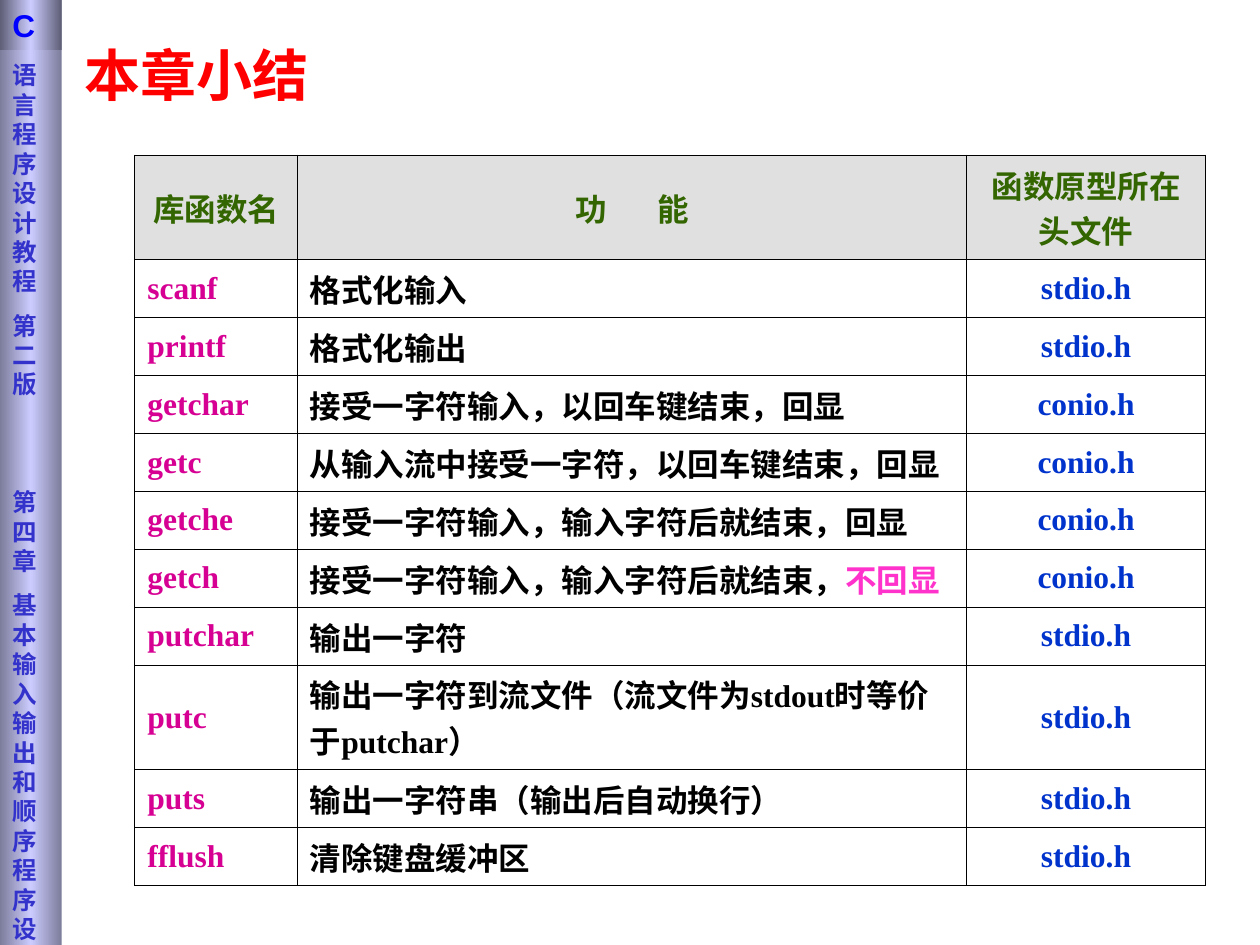
from copy import deepcopy

from lxml import etree
from pptx import Presentation
from pptx.dml.color import RGBColor
from pptx.enum import shapes, text
from pptx.oxml.ns import qn
from pptx.util import Inches, Pt

CJK_FONT = "Noto Sans CJK SC"
LEFT, CENTER = text.PP_ALIGN.LEFT, text.PP_ALIGN.CENTER
TOP, MIDDLE = text.MSO_ANCHOR.TOP, text.MSO_ANCHOR.MIDDLE

HEADINGS = ["库函数名", "功 能", "函数原型所在头文件"]
FUNCTIONS = [
    ("scanf", "格式化输入", "stdio.h"),
    ("printf", "格式化输出", "stdio.h"),
    ("getchar", "接受一字符输入，以回车键结束，回显", "conio.h"),
    ("getc", "从输入流中接受一字符，以回车键结束，回显", "conio.h"),
    ("getche", "接受一字符输入，输入字符后就结束，回显", "conio.h"),
    ("getch", "接受一字符输入，输入字符后就结束，", "conio.h"),
    ("putchar", "输出一字符", "stdio.h"),
    ("putc", "输出一字符到流文件（流文件为stdout时等价于putchar）", "stdio.h"),
    ("puts", "输出一字符串（输出后自动换行）", "stdio.h"),
    ("fflush", "清除键盘缓冲区", "stdio.h"),
]
# Text and the space before it in points
SIDEBAR_LINES = [
    ("语言程序设计教程", 0),
    ("第二版", 8.5),
    ("第四章", 50.5),
    ("基本输入输出和顺序程序设计", 8.5),
]


def rgb(hex_color):
    return RGBColor.from_string(hex_color)


def add_text(paragraph, words, *, size=18, color="000000", font="Times New Roman",
             east_asian=CJK_FONT, align=LEFT, tracking=0):
    """Append a bold run; tracking is extra letter spacing in points."""
    paragraph.alignment = align
    run = paragraph.add_run()
    run.text = words
    run.font.size = Pt(size)
    run.font.bold = True
    run.font.color.rgb = rgb(color)
    run.font.name = font
    properties = run.font._element
    etree.SubElement(properties, qn("a:ea"), typeface=east_asian)
    if tracking:
        properties.set("spc", str(round(tracking * 100)))


def add_title(slide, words):
    title = slide.shapes.add_textbox(Inches(0.57), Inches(0.27), Inches(8.5), Inches(0.71))
    title.text_frame.word_wrap = True
    add_text(title.text_frame.paragraphs[0], words, size=32, color="FF0000", font=CJK_FONT)


def add_gradient_bar(slide, height, edge, middle, inset_top=0.05):
    """Add a bar at the left edge, lightest along its middle; return its text frame."""
    bar = slide.shapes.add_shape(shapes.MSO_SHAPE.RECTANGLE, 0, 0, Inches(0.49), Inches(height))
    bar.shadow.inherit = False
    bar.line.fill.background()
    bar.fill.gradient()
    bar.fill.gradient_angle = 0
    first_stop = bar.fill._fill._gradFill.find(qn("a:gsLst"))[0]
    first_stop.addnext(deepcopy(first_stop))
    for stop, position, color in zip(bar.fill.gradient_stops, (0, 0.5, 1), (edge, middle, edge)):
        stop.position = position
        stop.color.rgb = rgb(color)
    frame = bar.text_frame
    frame.word_wrap = True
    frame.vertical_anchor = TOP
    frame.margin_top = Inches(inset_top)
    return frame


def add_sidebar(slide):
    frame = add_gradient_bar(slide, 7.5, "7C7C9B", "CCCCFF", inset_top=0.48)
    for index, (words, space_before) in enumerate(SIDEBAR_LINES):
        paragraph = frame.add_paragraph() if index else frame.paragraphs[0]
        if space_before:
            paragraph.space_before = Pt(space_before)
        paragraph.line_spacing = Pt(16.8)
        add_text(paragraph, words, size=14, color="3333CC", font="DejaVu Sans",
                 east_asian="DejaVu Sans")

    badge = add_gradient_bar(slide, 0.4, "5E5E76", "CCCCFF")
    add_text(badge.paragraphs[0], "C", color="0000FF", font="Arial")


def style_cell(cell, anchor=MIDDLE, fill=None):
    cell.vertical_anchor = anchor
    properties = cell._tc.get_or_add_tcPr()
    for side in ("a:lnL", "a:lnR", "a:lnT", "a:lnB"):
        border = etree.SubElement(properties, qn(side), w=str(Pt(0.45)))
        solid = etree.SubElement(border, qn("a:solidFill"))
        etree.SubElement(solid, qn("a:srgbClr"), val="000000")
    if fill:
        cell.fill.solid()
        cell.fill.fore_color.rgb = rgb(fill)
    else:
        cell.fill.background()


def add_function_table(slide):
    table = slide.shapes.add_table(len(FUNCTIONS) + 1, len(HEADINGS), Inches(1.07),
                                   Inches(1.23), Inches(8.5), Inches(5.8)).table
    for column, width in zip(table.columns, (1.29, 5.31, 1.9)):
        column.width = Inches(width)
    two_line_rows = (0, 8)
    for index, row in enumerate(table.rows):
        row.height = Inches(0.83 if index in two_line_rows else 0.46)

    for column, heading in enumerate(HEADINGS):
        cell = table.cell(0, column)
        style_cell(cell, fill="E0E0E0")
        # A heading with a space is spread out around it
        first, space, rest = heading.partition(" ")
        add_text(cell.text_frame.paragraphs[0], first + space, color="336600", align=CENTER,
                 tracking=12.4 if space else 0)
        if rest:
            add_text(cell.text_frame.paragraphs[0], rest, color="336600", align=CENTER)

    column_formats = [("D60093", LEFT, MIDDLE), ("000000", LEFT, TOP), ("0033CC", CENTER, MIDDLE)]
    for row, entry in enumerate(FUNCTIONS, start=1):
        for column, (words, (color, align, anchor)) in enumerate(zip(entry, column_formats)):
            cell = table.cell(row, column)
            style_cell(cell, anchor)
            add_text(cell.text_frame.paragraphs[0], words, color=color, align=align)
        if entry[0] == "getch":
            add_text(table.cell(row, 1).text_frame.paragraphs[0], "不回显", color="FF33CC")


def main():
    presentation = Presentation()
    presentation.slide_width = Inches(10)
    presentation.slide_height = Inches(7.5)
    slide = presentation.slides.add_slide(presentation.slide_layouts[6])
    add_title(slide, "本章小结")
    add_function_table(slide)
    add_sidebar(slide)
    presentation.save("out.pptx")


if __name__ == "__main__":
    main()
